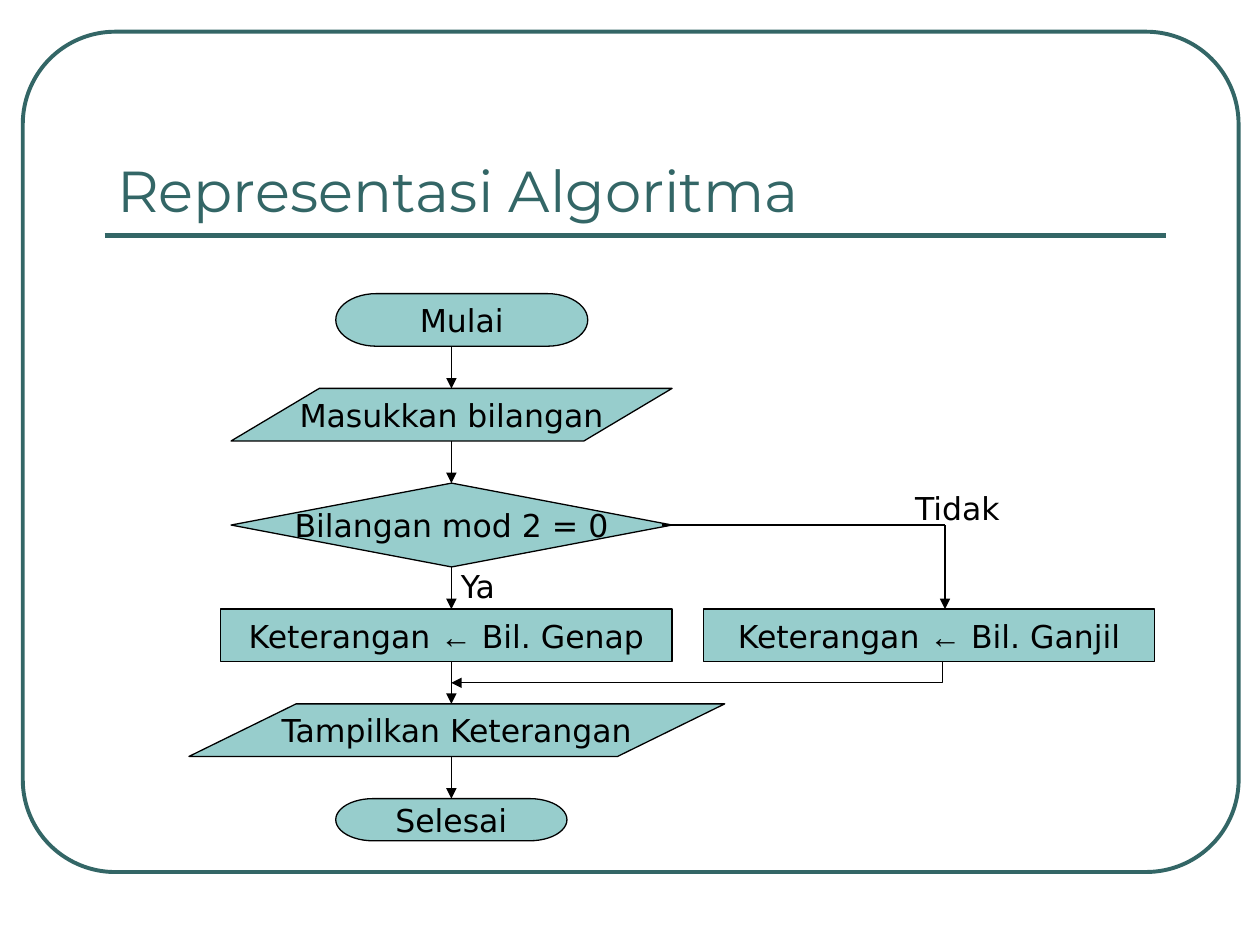
from dataclasses import dataclass

from lxml import etree
from pptx import Presentation
from pptx import util as u
from pptx.dml.color import RGBColor
from pptx.enum import shapes, text
from pptx.oxml.ns import qn
from pptx.util import Cm


@dataclass(frozen=True)
class Theme:
    accent: RGBColor = RGBColor(0x33, 0x66, 0x66)
    node: RGBColor = RGBColor(0x97, 0xCD, 0xCC)
    ink: RGBColor = RGBColor(0, 0, 0)
    title_font: str = "Montserrat"
    body_font: str = "DejaVu Sans"
    arrow_font: str = "Arial"
    title_size: u.Pt = u.Pt(33)
    body_size: u.Pt = u.Pt(18)


theme = Theme()
prs = Presentation()
prs.slide_width, prs.slide_height = Cm(25.4), Cm(19.05)
s = prs.slides.add_slide(prs.slide_layouts[5])


def write(p, content):
    """Fill a paragraph, setting any assignment arrow in its own font."""
    for part in filter(None, content.partition("←")):
        r = p.add_run()
        r.text = part
        r.font.name = theme.arrow_font if part == "←" else theme.body_font
        r.font.size = theme.body_size
        r.font.color.rgb = theme.ink


def connect(x1, y1, x2, y2, color=theme.ink, width=0.75, head=True,
            kind=shapes.MSO_CONNECTOR.STRAIGHT):
    c = s.shapes.add_connector(kind, Cm(x1), Cm(y1), Cm(x2), Cm(y2))
    c.line.color.rgb = color
    c.line.width = u.Pt(width)
    if head:
        etree.SubElement(c.line._get_or_add_ln(), qn("a:tailEnd"), type="triangle")
    etree.SubElement(c._element.spPr, qn("a:effectLst"))
    return c


# Frame, title and rule
frame = s.shapes.add_shape(shapes.MSO_SHAPE.ROUNDED_RECTANGLE,
                           Cm(0.46), Cm(0.64), Cm(24.51), Cm(16.94))
frame.adjustments[0] = 0.11
frame.shadow.inherit = False
frame.fill.background()
frame.line.color.rgb = theme.accent
frame.line.width = u.Pt(2.25)
connect(2.11, 4.75, 23.5, 4.75, theme.accent, 3, head=False)

title = s.shapes.title
title.left, title.top, title.width, title.height = Cm(2.11), Cm(1.47), Cm(21.39), Cm(3.18)
tf = title.text_frame
tf.text = "Representasi Algoritma"
tf.auto_size = text.MSO_AUTO_SIZE.NONE
tf.vertical_anchor = text.MSO_ANCHOR.BOTTOM
p = tf.paragraphs[0]
p.alignment = text.PP_ALIGN.LEFT
font = p.runs[0].font
font.name, font.size = theme.title_font, theme.title_size
font.color.rgb = theme.accent

# Flowchart steps: row, shape, left, width, text
SPINE, GAP, TOP = 9.1, 0.85, 5.92
heights = [1.06, 1.06, 1.69, 1.06, 1.06, 0.85]
tops = [TOP + sum(heights[:i]) + GAP * i for i in range(len(heights))]
bottoms = [top + height for top, height in zip(tops, heights)]
shape = shapes.MSO_SHAPE
steps = [
    (0, shape.FLOWCHART_TERMINATOR, 6.77, 5.08, "Mulai"),
    (1, shape.FLOWCHART_DATA, 4.66, 8.89, "Masukkan bilangan"),
    (2, shape.FLOWCHART_DECISION, 4.66, 8.89, "Bilangan mod 2 = 0"),
    (3, shape.FLOWCHART_PROCESS, 4.45, 9.1, "Keterangan ← Bil. Genap"),
    (3, shape.FLOWCHART_PROCESS, 14.18, 9.1, "Keterangan ← Bil. Ganjil"),
    (4, shape.FLOWCHART_DATA, 3.81, 10.8, "Tampilkan Keterangan"),
    (5, shape.FLOWCHART_TERMINATOR, 6.77, 4.66, "Selesai"),
]
for row, kind, left, width, content in steps:
    sp = s.shapes.add_shape(kind, Cm(left), Cm(tops[row]), Cm(width), Cm(heights[row]))
    sp.shadow.inherit = False
    sp.fill.solid()
    sp.fill.fore_color.rgb = theme.node
    sp.line.color.rgb = theme.ink
    sp.line.width = u.Pt(0.75)
    tf = sp.text_frame
    tf.word_wrap = False
    tf.vertical_anchor = text.MSO_ANCHOR.MIDDLE
    p = tf.paragraphs[0]
    p.alignment = text.PP_ALIGN.CENTER
    write(p, content)

# Main flow, then the "Tidak" branch and its return
for bottom, next_top in zip(bottoms, tops[1:]):
    connect(SPINE, bottom, SPINE, next_top)

BRANCH = 19.05
decision_y = tops[2] + heights[2] / 2
connect(13.34, decision_y, BRANCH, decision_y, head=False)
connect(BRANCH, decision_y, BRANCH, tops[3])

back = connect(19.26, bottoms[3], SPINE, bottoms[3] + GAP / 2,
               kind=shapes.MSO_CONNECTOR.ELBOW)
guides = back._element.spPr.find(qn("a:prstGeom")).get_or_add_avLst()
etree.SubElement(guides, qn("a:gd"), name="adj1", fmla="val 2600")

for left, top, width, content in [(9.04, 11.3, 1.91, "Ya"), (18.2, 9.73, 2.54, "Tidak")]:
    tf = s.shapes.add_textbox(Cm(left), Cm(top), Cm(width), Cm(1.02)).text_frame
    tf.word_wrap = True
    write(tf.paragraphs[0], content)

prs.save("out.pptx")
